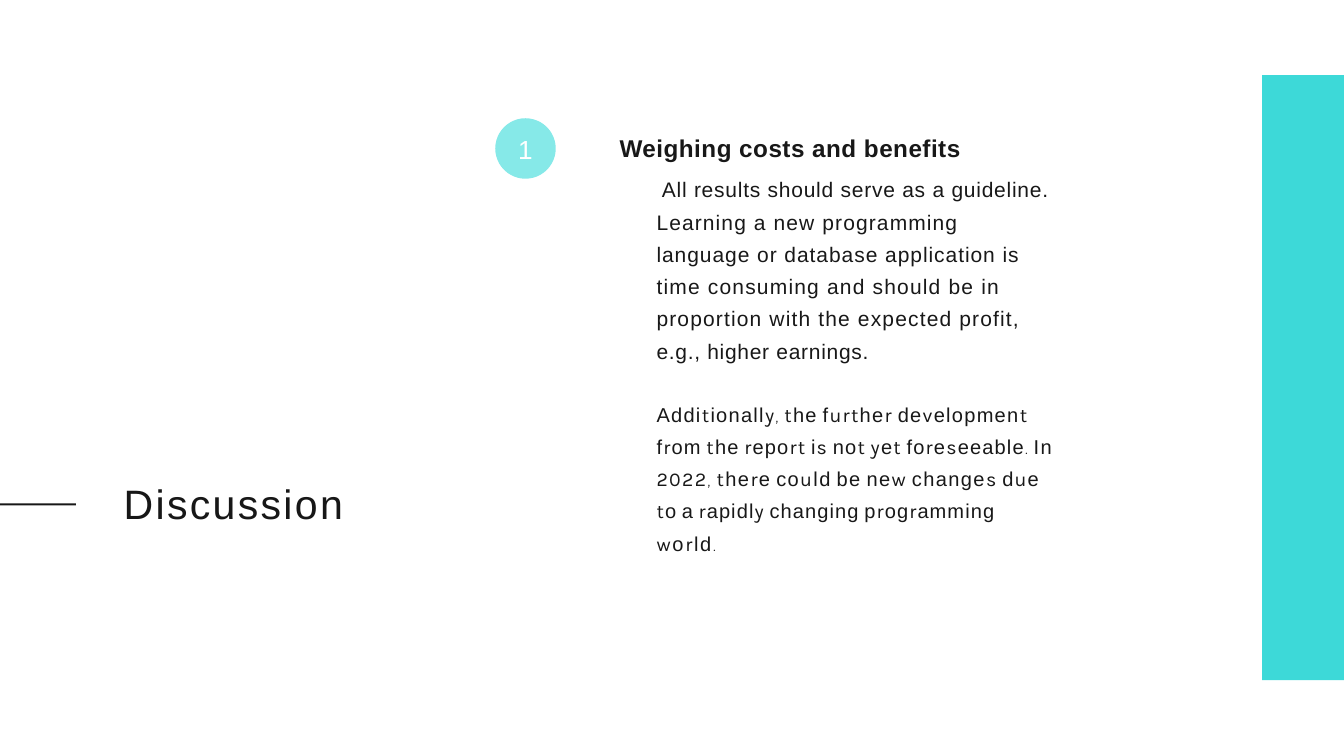
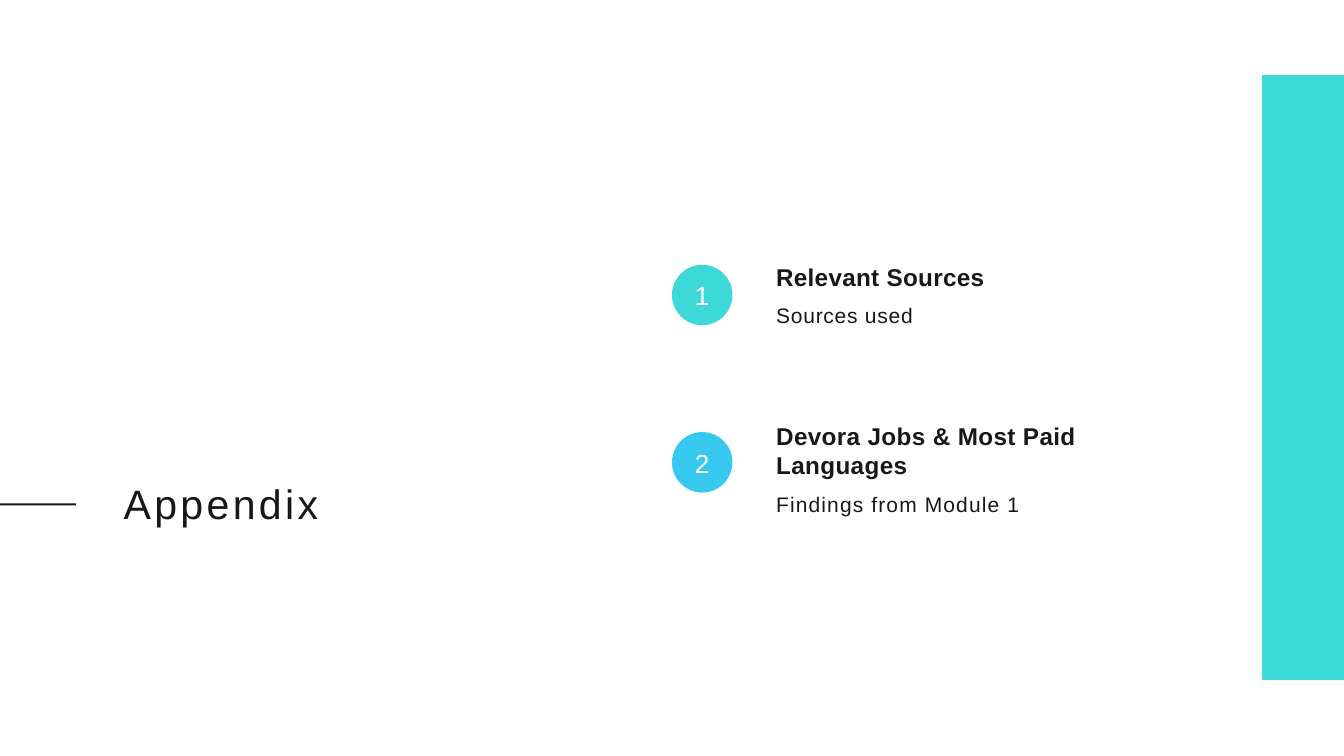
from itertools import groupby
from pptx import Presentation
from pptx.dml.color import RGBColor
from pptx.enum.shapes import MSO_SHAPE
from pptx.enum.text import MSO_ANCHOR, PP_ALIGN
from pptx.util import Inches, Pt

COLORS = {
    "background": "FFFFFF",
    "ink": "181818",
    "title": "171717",
    "teal": "3DD9D8",
    "pale_teal": "86E9E8",
    "blue": "37C8EF",
    "white": "FFFFFF",
}
HEADING = dict(size=26, bold=True)
BODY = dict(size=22.5)

# Letter groups of the mixed-font paragraph: font and size
MIXED_FONTS = {"plain": ("Arial", 21.5), "late": ("Karla", 21), "mark": ("Montserrat", 14)}


def write(frame, pieces, size=22.5, color="ink", bold=False, font="Arial", before=1,
          line=None, left=0.01, first=0, align=PP_ALIGN.LEFT, new=False, mixed=False):
    """Write one paragraph from (text, letter spacing in points) pieces."""
    paragraph = frame.add_paragraph() if new else frame.paragraphs[0]
    paragraph.alignment = align
    paragraph.space_before = Pt(before)
    if line:
        paragraph.line_spacing = line
    properties = paragraph._p.get_or_add_pPr()
    properties.set("marL", str(Inches(left)))
    properties.set("indent", str(Inches(first)))
    for text, spacing in pieces:
        parts = [(text, font, size)]
        if mixed:
            groups = groupby(text, lambda c: "mark" if c in ",. " else
                             "late" if c in "rstuvwy0123456789" else "plain")
            parts = [("".join(letters), *MIXED_FONTS[group]) for group, letters in groups]
        for words, face, points in parts:
            run = paragraph.add_run()
            run.text = words
            run.font.name, run.font.size, run.font.bold = face, Pt(points), bold
            run.font.color.rgb = RGBColor.from_string(COLORS[color])
            run._r.get_or_add_rPr().set("spc", str(round(spacing * 100)))


def add_area(slide, left, top, width, height, fill=None, kind=MSO_SHAPE.RECTANGLE, inset=0.01):
    """Add a filled shape, or a text box when there is no fill; return its text frame."""
    place = [Inches(value) for value in (left, top, width, height)]
    if fill:
        area = slide.shapes.add_shape(kind, *place)
        area.shadow.inherit = False
        area.fill.solid()
        area.fill.fore_color.rgb = RGBColor.from_string(COLORS[fill])
        area.line.fill.background()
    else:
        area = slide.shapes.add_textbox(*place)
    frame = area.text_frame
    frame.word_wrap = True
    frame.margin_left = frame.margin_right = frame.margin_bottom = 0
    frame.margin_top = Inches(inset)
    return frame


deck = Presentation()
deck.slide_width, deck.slide_height = Inches(20), Inches(11.25)

# Title with its spacing, then the numbered markers: left, top, fill
sections = [
    ("Discussion", 2.5, [(7.37, 1.76, "pale_teal")]),
    ("Appendix", 3.6, [(10, 3.94, "teal"), (10, 6.43, "blue")]),
]
slides = []
for title, title_spacing, markers in sections:
    slide = deck.slides.add_slide(deck.slide_layouts[6])
    slide.background.fill.solid()
    slide.background.fill.fore_color.rgb = RGBColor.from_string(COLORS["background"])
    slides.append(slide)

    # Side band, title rule and title
    add_area(slide, 18.78, 1.12, 1.22, 9, "teal")
    add_area(slide, 0, 7.49, 1.13, 0.03, "ink")
    write(add_area(slide, 1.83, 7.11, 3.34, 0.76), [(title, title_spacing)],
          size=44, color="title", before=0.9)

    # Numbered markers
    for number, (left, top, fill) in enumerate(markers, 1):
        marker = add_area(slide, left, top, 0.9, 0.9, fill, MSO_SHAPE.OVAL)
        marker.vertical_anchor = MSO_ANCHOR.MIDDLE
        write(marker, [(str(number), 2.9)], size=28, color="white", before=0,
              left=0, align=PP_ALIGN.CENTER)

discussion, appendix = slides

# Discussion: costs and benefits
benefits = add_area(discussion, 9.21, 1.97, 6.48, 3.45)
write(benefits, [("Weighing costs and benefits", 0.5)], **HEADING)
write(benefits, [
    ("All results should serve as a guideline. ", 0.78),
    ("Learning a new programming ", 1.15),
    ("language or database application is ", 1),
    ("time consuming and should be in ", 1.25),
    ("proportion with the expected profit, ", 1.22),
    ("e.g., higher earnings.", 0.75),
], before=8.2, line=1.28, left=0.56, first=0.08, new=True, **BODY)

# Discussion: outlook
outlook = add_area(discussion, 9.76, 5.85, 5.95, 2.42)
write(outlook, [
    ("Additionally, the further development ", 1.38),
    ("from the report is not yet foreseeable. ", 1.27),
    ("In 2022, there could be new changes ", 1.46),
    ("due to a rapidly changing programming ", 1.2),
    ("world.", 1.8),
], before=0.9, line=1.34, mixed=True)

# Appendix: entries
entries = [
    (3.68, ("Relevant Sources", 0.3), ("Sources used", 0.8)),
    (6.05, ("Devora Jobs & Most Paid Languages", 0.4), ("Findings from Module 1", 1.2)),
]
for top, heading, detail in entries:
    entry = add_area(appendix, 11.54, top, 5, 1.21, inset=0.22)
    write(entry, [heading], before=15.6, **HEADING)
    write(entry, [detail], before=12.6, new=True, **BODY)

deck.save("out.pptx")
